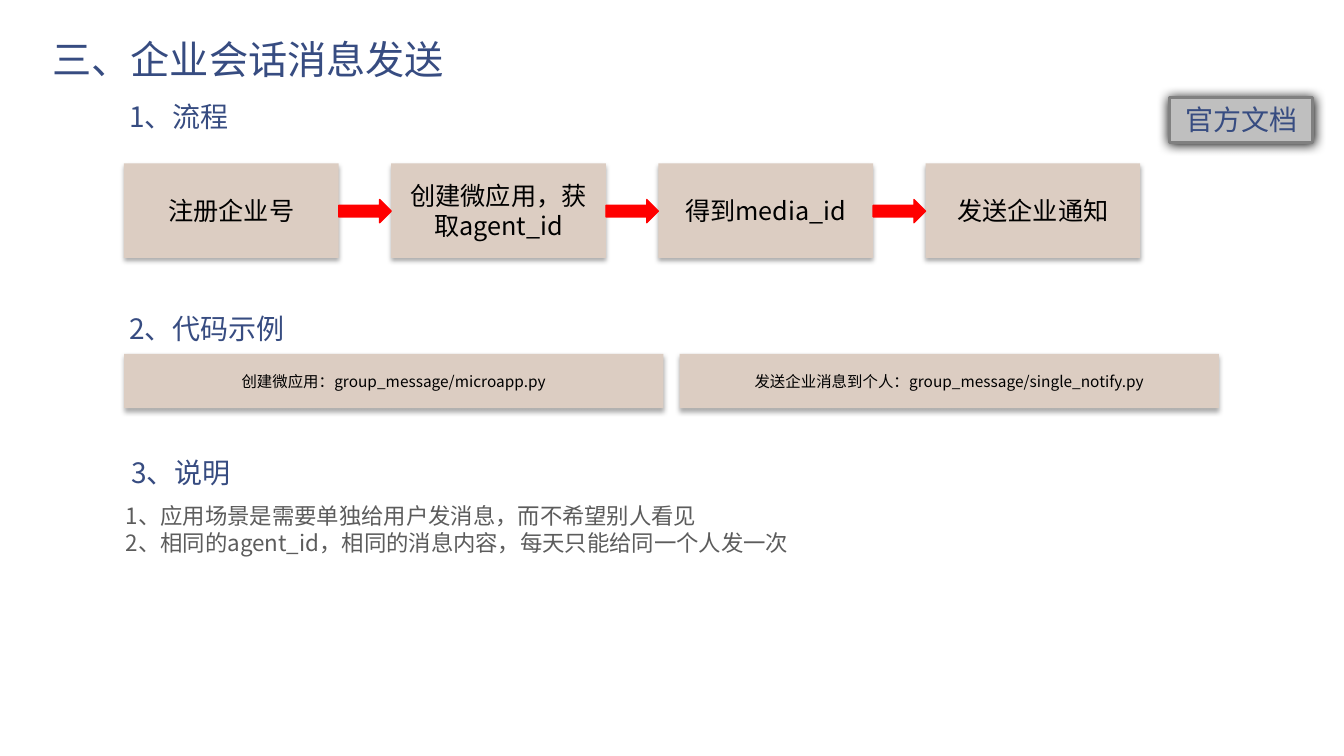
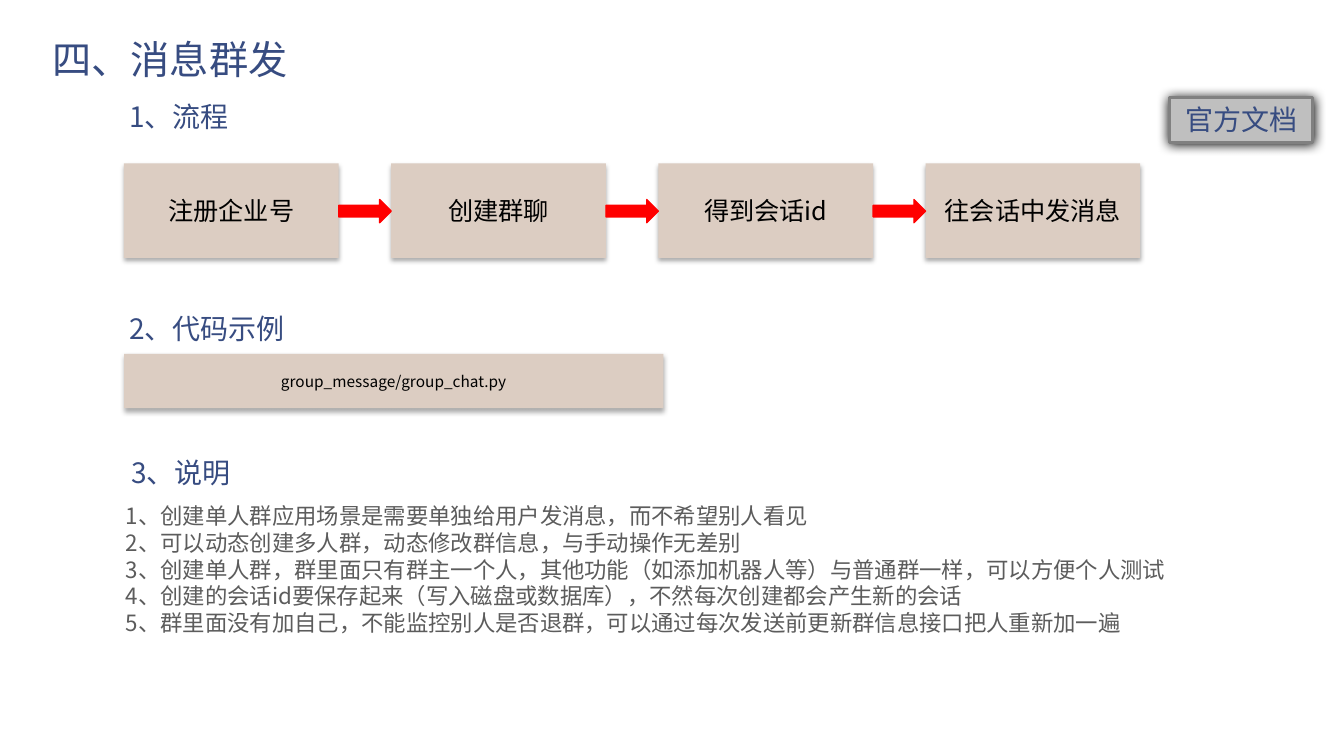
from dataclasses import dataclass

from lxml.etree import SubElement
from pptx import Presentation
from pptx.dml.color import RGBColor
from pptx.enum.shapes import MSO_SHAPE as Preset
from pptx.enum.text import MSO_ANCHOR as Anchor, MSO_AUTO_SIZE as AutoSize, PP_ALIGN as Align
from pptx.oxml.ns import qn
from pptx.util import Inches, Pt


@dataclass(frozen=True)
class Theme:
    font: str = "Noto Sans CJK SC"
    badge_font: str = "TeX Gyre Adventor"
    heading: str = "374C81"
    body: str = "5C5C5C"
    box: str = "DCCDC2"
    box_text: str = "000000"
    arrow: str = "FF0000"
    badge: str = "BFBFBF"
    badge_line: str = "808080"
    shadow: str = "000000"
    title_size: int = 28
    heading_size: int = 20
    step_size: int = 18
    note_size: int = 16
    code_size: int = 11


THEME = Theme()
TITLE_ONLY = 5
LEFT = 1.23
STEP_TOP, STEP_WIDTH, STEP_HEIGHT, STEP_GAP = 1.62, 2.13, 0.94, 0.52
ARROW_TOP, ARROW_HEIGHT = 1.98, 0.23
CODE_TOP, CODE_WIDTH, CODE_HEIGHT, CODE_GAP = 3.51, 5.35, 0.54, 0.16
NOTE_LINE = 0.27
HEADINGS = [("1、流程", 1.15, 0.85), ("2、代码示例", 1.15, 2.96), ("3、说明", 1.17, 4.38)]

SLIDES = [
    {
        "title": "三、企业会话消息发送",
        "steps": ["注册企业号", "创建微应用，获取agent_id", "得到media_id", "发送企业通知"],
        "code": [
            "创建微应用：group_message/microapp.py",
            "发送企业消息到个人：group_message/single_notify.py",
        ],
        "notes": [
            "1、应用场景是需要单独给用户发消息，而不希望别人看见",
            "2、相同的agent_id，相同的消息内容，每天只能给同一个人发一次",
        ],
    },
    {
        "title": "四、消息群发",
        "steps": ["注册企业号", "创建群聊", "得到会话id", "往会话中发消息"],
        "code": ["group_message/group_chat.py"],
        "notes": [
            "1、创建单人群应用场景是需要单独给用户发消息，而不希望别人看见",
            "2、可以动态创建多人群，动态修改群信息，与手动操作无差别",
            "3、创建单人群，群里面只有群主一个人，其他功能（如添加机器人等）与普通群一样，可以方便个人测试",
            "4、创建的会话id要保存起来（写入磁盘或数据库），不然每次创建都会产生新的会话",
            "5、群里面没有加自己，不能监控别人是否退群，可以通过每次发送前更新群信息接口把人重新加一遍",
        ],
    },
]


def color(value):
    return RGBColor.from_string(value)


def write(shape, text, size, text_color, align=Align.LEFT, font=THEME.font, spacing=None):
    """Fill a shape with text, using one font for Latin and Chinese letters."""
    frame = shape.text_frame
    frame.word_wrap = True
    frame.text = text
    for paragraph in frame.paragraphs:
        paragraph.alignment = align
        paragraph.line_spacing = spacing
        for run in paragraph.runs:
            run.font.size = Pt(size)
            run.font.name = font
            run.font.color.rgb = color(text_color)
            SubElement(run.font._element, qn("a:ea"), typeface=font)


def write_heading(shape, text, size):
    write(shape, text, size, THEME.heading, spacing=0.85)
    frame = shape.text_frame
    frame.auto_size = AutoSize.NONE
    frame.vertical_anchor = Anchor.BOTTOM
    frame.margin_left = frame.margin_right = Inches(0.13)
    frame.margin_top = frame.margin_bottom = Inches(0.07)


def add_filled(slide, preset, left, top, width, height, fill, line=None, line_width=1):
    shape = slide.shapes.add_shape(
        preset, Inches(left), Inches(top), Inches(width), Inches(height))
    shape.shadow.inherit = False
    shape.fill.solid()
    shape.fill.fore_color.rgb = color(fill)
    if line:
        shape.line.color.rgb = color(line)
        shape.line.width = Pt(line_width)
    else:
        shape.line.fill.background()
    return shape


def cast_shadow(shape, opacity, blur, distance):
    """Drop a shadow straight down; opacity in percent, lengths in points."""
    effects = shape._element.spPr.find(qn("a:effectLst"))
    shadow = SubElement(effects, qn("a:outerShdw"), blurRad=str(Pt(blur)),
                        dist=str(Pt(distance)), dir="5400000", algn="ctr", rotWithShape="0")
    tint = SubElement(shadow, qn("a:srgbClr"), val=THEME.shadow)
    SubElement(tint, qn("a:alpha"), val=str(opacity * 1000))


def add_box(slide, text, left, top, width, height, size):
    box = add_filled(slide, Preset.RECTANGLE, left, top, width, height, THEME.box)
    cast_shadow(box, 32, 3.5, 2.2)
    write(box, text, size, THEME.box_text, Align.CENTER)
    box.text_frame.vertical_anchor = Anchor.MIDDLE


def add_title(slide, text):
    title = slide.shapes.title
    title.left, title.top = Inches(0.39), Inches(0.08)
    title.width, title.height = Inches(12.56), Inches(0.81)
    write_heading(title, text, THEME.title_size)


def add_heading(slide, text, left, top):
    heading = slide.shapes.add_textbox(Inches(left), Inches(top), Inches(11.8), Inches(0.54))
    write_heading(heading, text, THEME.heading_size)


def add_badge(slide, text):
    badge = add_filled(slide, Preset.RECTANGLE, 11.6, 0.97, 1.42, 0.44,
                       THEME.badge, THEME.badge_line, 2.25)
    cast_shadow(badge, 100, 8.5, 1)
    write(badge, text, THEME.heading_size, THEME.heading, Align.CENTER, THEME.badge_font)
    badge.text_frame.vertical_anchor = Anchor.TOP
    badge.text_frame.auto_size = AutoSize.SHAPE_TO_FIT_TEXT


def add_flow(slide, steps):
    for index, step in enumerate(steps):
        left = LEFT + index * (STEP_WIDTH + STEP_GAP)
        add_box(slide, step, left, STEP_TOP, STEP_WIDTH, STEP_HEIGHT, THEME.step_size)
        if index:
            add_filled(slide, Preset.RIGHT_ARROW, left - STEP_GAP, ARROW_TOP,
                       STEP_GAP, ARROW_HEIGHT, THEME.arrow, THEME.arrow)


def add_code_row(slide, labels):
    for index, label in enumerate(labels):
        left = LEFT + index * (CODE_WIDTH + CODE_GAP)
        add_box(slide, label, left, CODE_TOP, CODE_WIDTH, CODE_HEIGHT, THEME.code_size)


def add_notes_list(slide, notes):
    height = 0.1 + NOTE_LINE * len(notes)
    box = slide.shapes.add_textbox(Inches(1.15), Inches(4.93), Inches(10.89), Inches(height))
    write(box, "\n".join(notes), THEME.note_size, THEME.body)
    box.text_frame.auto_size = AutoSize.SHAPE_TO_FIT_TEXT


def main():
    presentation = Presentation()
    presentation.slide_width, presentation.slide_height = Inches(13.33), Inches(7.5)
    for content in SLIDES:
        slide = presentation.slides.add_slide(presentation.slide_layouts[TITLE_ONLY])
        add_title(slide, content["title"])
        for heading in HEADINGS:
            add_heading(slide, *heading)
        add_flow(slide, content["steps"])
        add_badge(slide, "官方文档")
        add_code_row(slide, content["code"])
        add_notes_list(slide, content["notes"])
    presentation.save("out.pptx")


if __name__ == "__main__":
    main()
